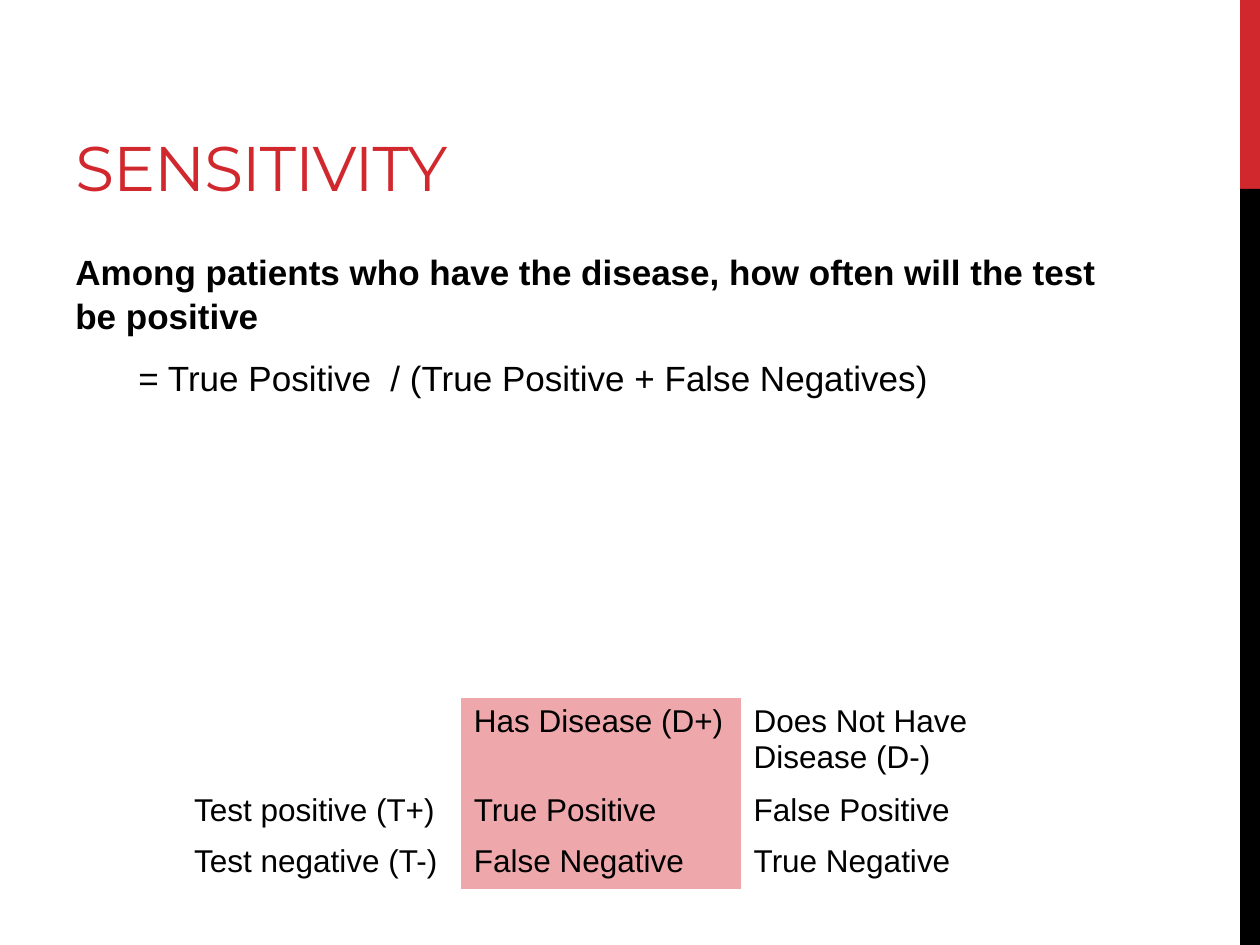
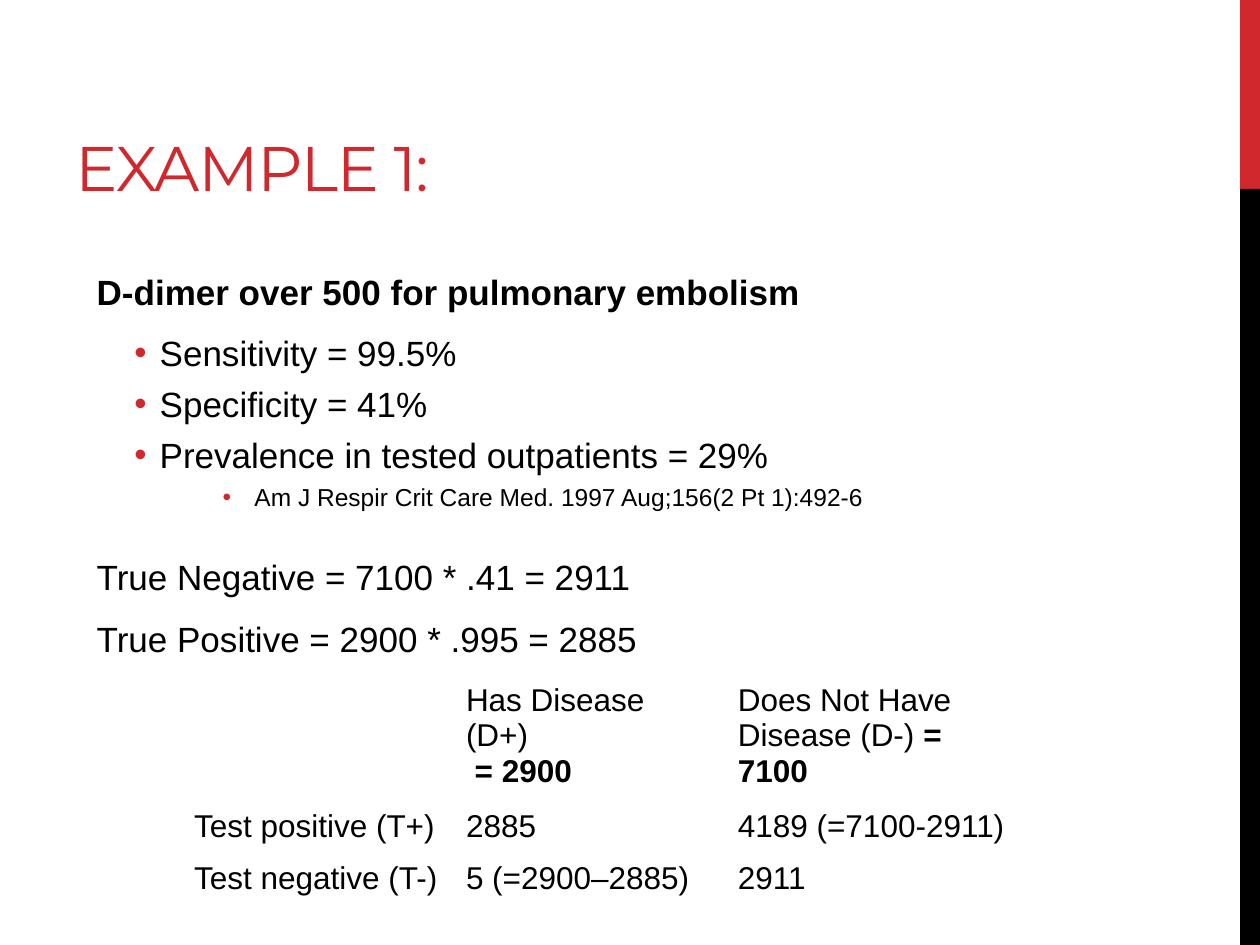
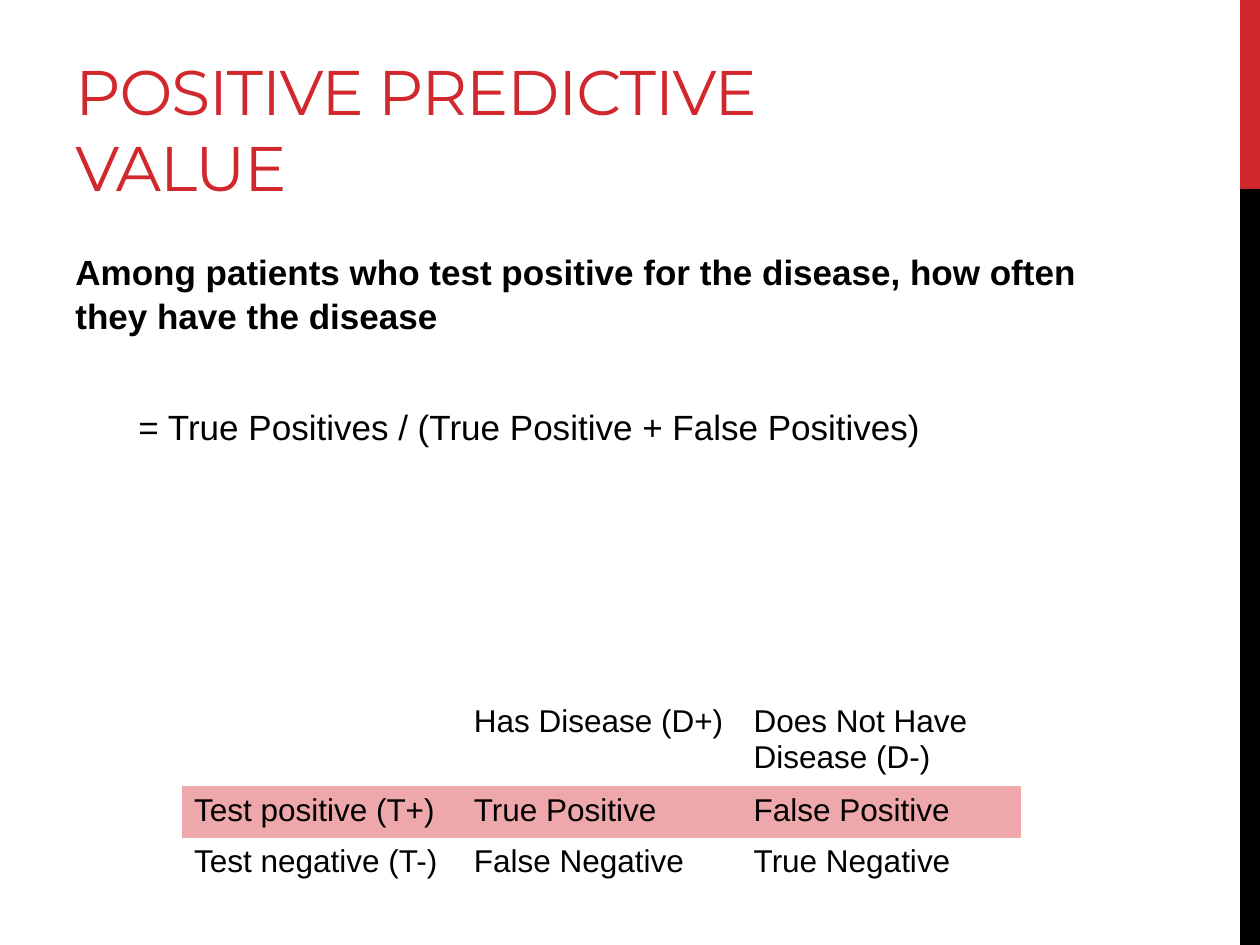
"""Build three slides on sensitivity, a worked example and positive predictive value."""
from dataclasses import dataclass
from lxml.etree import SubElement as Sub
from pptx import Presentation
from pptx.dml.color import RGBColor as Rgb
from pptx.enum.shapes import MSO_SHAPE as Form
from pptx.enum.text import MSO_ANCHOR as Anchor
from pptx.oxml.ns import qn
from pptx.util import Cm, Pt


@dataclass(frozen=True)
class Theme:
    red: str = "D1282E"
    pink: str = "EEA7AA"
    black: str = "000000"
    head: str = "Montserrat"
    body: str = "Arial"
    title: int = 36
    text: int = 20
    cell: int = 18
    note: int = 14
    lead: float = 1.05
    plain: str = "{2D5ABB26-0587-4C30-8999-92F81FD0307C}"


class Deck:
    def __init__(self, theme):
        self.theme = theme
        self.file = Presentation()
        self.file.slide_width, self.file.slide_height = Cm(25.4), Cm(19.05)
        self.slide = None

    def page(self, title):
        self.slide = self.file.slides.add_slide(self.file.slide_layouts[6])
        self.band(0, 3.81, self.theme.red)
        self.band(3.81, 15.24, self.theme.black)
        frame = self.box(1.27, 0.43, 16.08, 3.81)
        frame.vertical_anchor = Anchor.BOTTOM
        run = self.run(frame.paragraphs[0], title, self.theme.title,
                       font=self.theme.head, color=self.theme.red)
        run.font._element.set("spc", "-60")

    def band(self, top, high, color):
        bar = self.slide.shapes.add_shape(Form.RECTANGLE, Cm(25), Cm(top), Cm(0.4), Cm(high))
        bar.shadow.inherit = False
        bar.fill.solid()
        bar.fill.fore_color.rgb = Rgb.from_string(color)
        bar.line.fill.background()

    def box(self, left, top, wide, high):
        shape = self.slide.shapes.add_textbox(Cm(left), Cm(top), Cm(wide), Cm(high))
        shape.text_frame.word_wrap = True
        return shape.text_frame

    def run(self, para, text, size, bold=False, font=None, color=None):
        run = para.add_run()
        run.text = text
        run.font.size, run.font.bold = Pt(size), bold
        run.font.name = font or self.theme.body
        run.font.color.rgb = Rgb.from_string(color or self.theme.black)
        return run

    def line(self, frame, text, size=None, bold=False, level=0, left=0, hang=0,
             above=None, below=0):
        size = size or self.theme.text
        para = frame.paragraphs[0]
        if para.runs:
            para = frame.add_paragraph()
        para.level, para.line_spacing = level, self.theme.lead
        para.space_before = Pt(size * 0.2 if above is None else above)
        para.space_after = Pt(below)
        prop = para._p.get_or_add_pPr()
        prop.set("marL", str(Cm(left)))
        prop.set("indent", str(-Cm(hang)))
        if hang:
            Sub(Sub(prop, qn("a:buClr")), qn("a:srgbClr")).set("val", self.theme.red)
            Sub(prop, qn("a:buFont")).set("typeface", self.theme.body)
            Sub(prop, qn("a:buChar")).set("char", "•")
        else:
            Sub(prop, qn("a:buNone"))
        self.run(para, text, size, bold)

    def table(self, top, cols, rows, data, lit=()):
        frame = self.slide.shapes.add_table(
            len(rows), len(cols), Cm(3.66), Cm(top), Cm(sum(cols)), Cm(sum(rows)))
        for style in frame.element.iter(qn("a:tableStyleId")):
            style.text = self.theme.plain
        table = frame.table
        table.first_row = table.horz_banding = False
        for col, wide in zip(table.columns, cols):
            col.width = Cm(wide)
        for row, high in zip(table.rows, rows):
            row.height = Cm(high)
        for y, row in enumerate(data):
            for x, item in enumerate(row):
                self.cell(table.cell(y, x), item, (y, x) in lit)

    def cell(self, cell, item, lit):
        if lit:
            cell.fill.solid()
            cell.fill.fore_color.rgb = Rgb.from_string(self.theme.pink)
        else:
            cell.fill.background()
        paras = [[(item, False)]] if isinstance(item, str) else item
        for at, runs in enumerate(paras):
            para = cell.text_frame.add_paragraph() if at else cell.text_frame.paragraphs[0]
            for text, bold in runs:
                if text:
                    self.run(para, text, self.theme.cell, bold)

    def save(self):
        self.file.save("out.pptx")


SICK, WELL = "Has Disease (D+)", "Does Not Have Disease (D-)"
PLUS, MINUS = "Test positive (T+)", "Test negative (T-)"
GRID = [["", SICK, WELL],
        [PLUS, "True Positive", "False Positive"],
        [MINUS, "False Negative", "True Negative"]]


def rate(deck, title, ask, rule, lit, above=None):
    """Add a slide that defines one rate and marks its cells."""
    deck.page(title)
    frame = deck.box(1.27, 4.88, 21.16, 12.14)
    deck.line(frame, ask, bold=True, below=6)
    deck.line(frame, rule, level=1, left=1.27, above=above)
    deck.table(14.07, [5.64] * 3, [1.68, 1.04, 1.04], GRID, lit)


def case(deck):
    """Add the worked example."""
    deck.page("EXAMPLE 1:")
    data = [["", [[(SICK, False)], [(" = 2900", True)]],
             [[(WELL + " ", False), ("= 7100", True)]]],
            [PLUS, "2885", "4189 (=7100-2911)"],
            [MINUS, "5 (=2900–2885)", "2911"]]
    deck.table(13.64, [5.48, 5.48, 6.2], [2.39, 1.04, 1.04], data)
    frame = deck.box(1.7, 5.28, 21.16, 12.14)
    deck.line(frame, "D-dimer over 500 for pulmonary embolism", bold=True, below=6)
    for text in ("Sensitivity = 99.5%", "Specificity = 41%",
                 "Prevalence in tested outpatients = 29%"):
        deck.line(frame, text, level=1, left=1.27, hang=0.51)
    deck.line(frame, "Am J Respir Crit Care Med. 1997 Aug;156(2 Pt 1):492-6",
              size=deck.theme.note, level=2, left=3.18, hang=0.64)
    deck.line(frame, "True Negative = 7100 * .41 = 2911", level=1, above=24, below=6)
    deck.line(frame, "True Positive = 2900 * .995 = 2885", level=1, below=6)


def main():
    """Build and save the deck."""
    deck = Deck(Theme())
    rate(deck, "SENSITIVITY",
         "Among patients who have the disease, how often will the test be positive",
         "= True Positive  / (True Positive + False Negatives)",
         [(y, 1) for y in range(3)])
    case(deck)
    rate(deck, "POSITIVE PREDICTIVE VALUE",
         "Among patients who test positive for the disease, how often they have the disease",
         "= True Positives / (True Positive + False Positives)",
         [(1, x) for x in range(3)], above=32)
    deck.save()


main()
